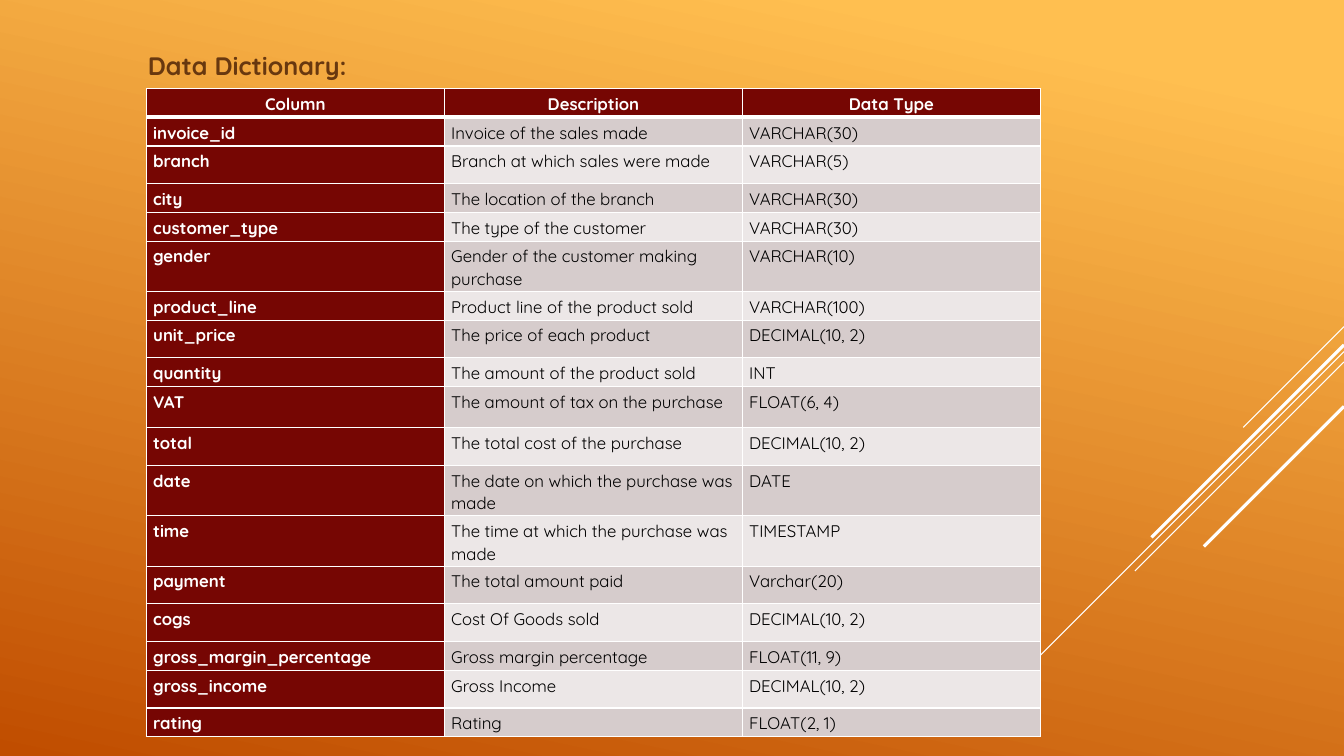
from lxml import etree
from pptx import Presentation
from pptx.dml.color import RGBColor
from pptx.enum.shapes import MSO_CONNECTOR
from pptx.enum.text import PP_ALIGN
from pptx.oxml.ns import qn
from pptx.util import Cm, Pt

STRAIGHT = MSO_CONNECTOR.STRAIGHT
LEFT, CENTER = PP_ALIGN.LEFT, PP_ALIGN.CENTER

WHITE = RGBColor(0xFF, 0xFF, 0xFF)
BLACK = RGBColor(0x00, 0x00, 0x00)
BROWN = RGBColor(0x68, 0x38, 0x0F)
MAROON = RGBColor(0x76, 0x06, 0x03)
BAND_DARK = RGBColor(0xD6, 0xCC, 0xCC)
BAND_LIGHT = RGBColor(0xEC, 0xE7, 0xE7)
AMBER = RGBColor(0xFF, 0xBF, 0x50)
RUST = RGBColor(0xC0, 0x4D, 0x00)

SLIDE_WIDTH, SLIDE_HEIGHT = 33.87, 19.05

# Diagonal accents from the right edge: start height, run in cm, width in points
ACCENTS = [
    (8.23, 2.54, 0.75),
    (8.86, 8.28, 0.75),
    (9.12, 5.27, 0.75),
    (8.69, 4.85, 2.25),
    (10.24, 3.53, 2.25),
]

HEADINGS = ("Column", "Description", "Data Type")
SHORT, MEDIUM, TALL = 0.64, 0.95, 1.04  # row heights in cm
FIELDS = [
    (SHORT, "invoice_id", "Invoice of the sales made", "VARCHAR(30)"),
    (MEDIUM, "branch", "Branch at which sales were made", "VARCHAR(5)"),
    (SHORT, "city", "The location of the branch", "VARCHAR(30)"),
    (SHORT, "customer_type", "The type of the customer", "VARCHAR(30)"),
    (TALL, "gender", "Gender of the customer making purchase", "VARCHAR(10)"),
    (SHORT, "product_line", "Product line of the product sold", "VARCHAR(100)"),
    (MEDIUM, "unit_price", "The price of each product", "DECIMAL(10, 2)"),
    (SHORT, "quantity", "The amount of the product sold", "INT"),
    (TALL, "VAT", "The amount of tax on the purchase", "FLOAT(6, 4)"),
    (MEDIUM, "total", "The total cost of the purchase", "DECIMAL(10, 2)"),
    (TALL, "date", "The date on which the purchase was made", "DATE"),
    (TALL, "time", "The time at which the purchase was made", "TIMESTAMP"),
    (MEDIUM, "payment", "The total amount paid", "Varchar(20)"),
    (MEDIUM, "cogs", "Cost Of Goods sold", "DECIMAL(10, 2)"),
    (SHORT, "gross_margin_percentage", "Gross margin percentage", "FLOAT(11, 9)"),
    (MEDIUM, "gross_income", "Gross Income", "DECIMAL(10, 2)"),
    (SHORT, "rating", "Rating", "FLOAT(2, 1)"),
]


def write_text(frame, text, *, font, size, color, bold=False, align=LEFT,
               spacing=None, after=0):
    paragraph = frame.paragraphs[0]
    paragraph.alignment = align
    paragraph.line_spacing = spacing
    paragraph.space_after = Pt(after)
    run = paragraph.add_run()
    run.text = text
    run.font.name = font
    run.font.size = Pt(size)
    run.font.bold = bold
    run.font.color.rgb = color


def set_border(cell, side, width):
    line = etree.SubElement(cell._tc.get_or_add_tcPr(), qn(f"a:ln{side}"),
                            w=str(Pt(width)))
    fill = etree.SubElement(line, qn("a:solidFill"))
    etree.SubElement(fill, qn("a:srgbClr"), val=str(WHITE))


class DictionarySlide:
    font = "Quicksand"

    def __init__(self, slide):
        self.slide = slide

    def background(self, start, end, angle):
        fill = self.slide.background.fill
        fill.gradient()
        fill.gradient_angle = 360 - angle  # counter-clockwise in python-pptx
        for stop, (position, color) in zip(fill.gradient_stops, (start, end)):
            stop.position = position
            stop.color.rgb = color

    def accent(self, top, run, width):
        line = self.slide.shapes.add_connector(
            STRAIGHT, Cm(SLIDE_WIDTH), Cm(top), Cm(SLIDE_WIDTH - run), Cm(top + run))
        line.line.color.rgb = WHITE
        line.line.width = Pt(width)
        etree.SubElement(line._element.spPr, qn("a:effectLst"))

    def title(self, text, left, top, width, height):
        box = self.slide.shapes.add_textbox(Cm(left), Cm(top), Cm(width), Cm(height))
        box.text_frame.word_wrap = True
        write_text(box.text_frame, text, font=self.font, size=18, color=BROWN,
                   bold=True, after=6)

    def cell(self, cell, text, fill, color, bold, align, top_border, bottom_border):
        cell.margin_left = cell.margin_right = Cm(0.17)
        cell.margin_top = cell.margin_bottom = Cm(0.09)
        for side, width in zip("LRTB", (1, 1, top_border, bottom_border)):
            set_border(cell, side, width)
        cell.fill.solid()
        cell.fill.fore_color.rgb = fill
        write_text(cell.text_frame, text, font=self.font, size=12, color=color,
                   bold=bold, align=align, spacing=1.07, after=8)

    def table(self, headings, fields, left, top, column_width):
        rows = [(SHORT, *headings), *fields]
        table = self.slide.shapes.add_table(
            len(rows), len(headings), Cm(left), Cm(top),
            Cm(column_width * len(headings)), Cm(sum(row[0] for row in rows))).table
        for column in table.columns:
            column.width = Cm(column_width)
        for r, (height, *texts) in enumerate(rows):
            table.rows[r].height = Cm(height)
            band = BAND_DARK if r % 2 else BAND_LIGHT
            for c, text in enumerate(texts):
                is_label = r == 0 or c == 0
                self.cell(table.cell(r, c), text,
                          fill=MAROON if is_label else band,
                          color=WHITE if is_label else BLACK,
                          bold=is_label,
                          align=CENTER if r == 0 else LEFT,
                          top_border=3 if r == 1 else 1,
                          bottom_border=3 if r == 0 else 1)


def main():
    deck = Presentation()
    deck.slide_width, deck.slide_height = Cm(SLIDE_WIDTH), Cm(SLIDE_HEIGHT)
    page = DictionarySlide(deck.slides.add_slide(deck.slide_layouts[6]))

    # Backdrop
    page.background((0.1, AMBER), (1, RUST), angle=102)
    for accent in ACCENTS:
        page.accent(*accent)

    # Data dictionary
    page.title("Data Dictionary:", 3.48, 1.14, 16.74, 5.69)
    page.table(HEADINGS, FIELDS, left=3.69, top=2.23, column_width=7.51)

    deck.save("out.pptx")


if __name__ == "__main__":
    main()
